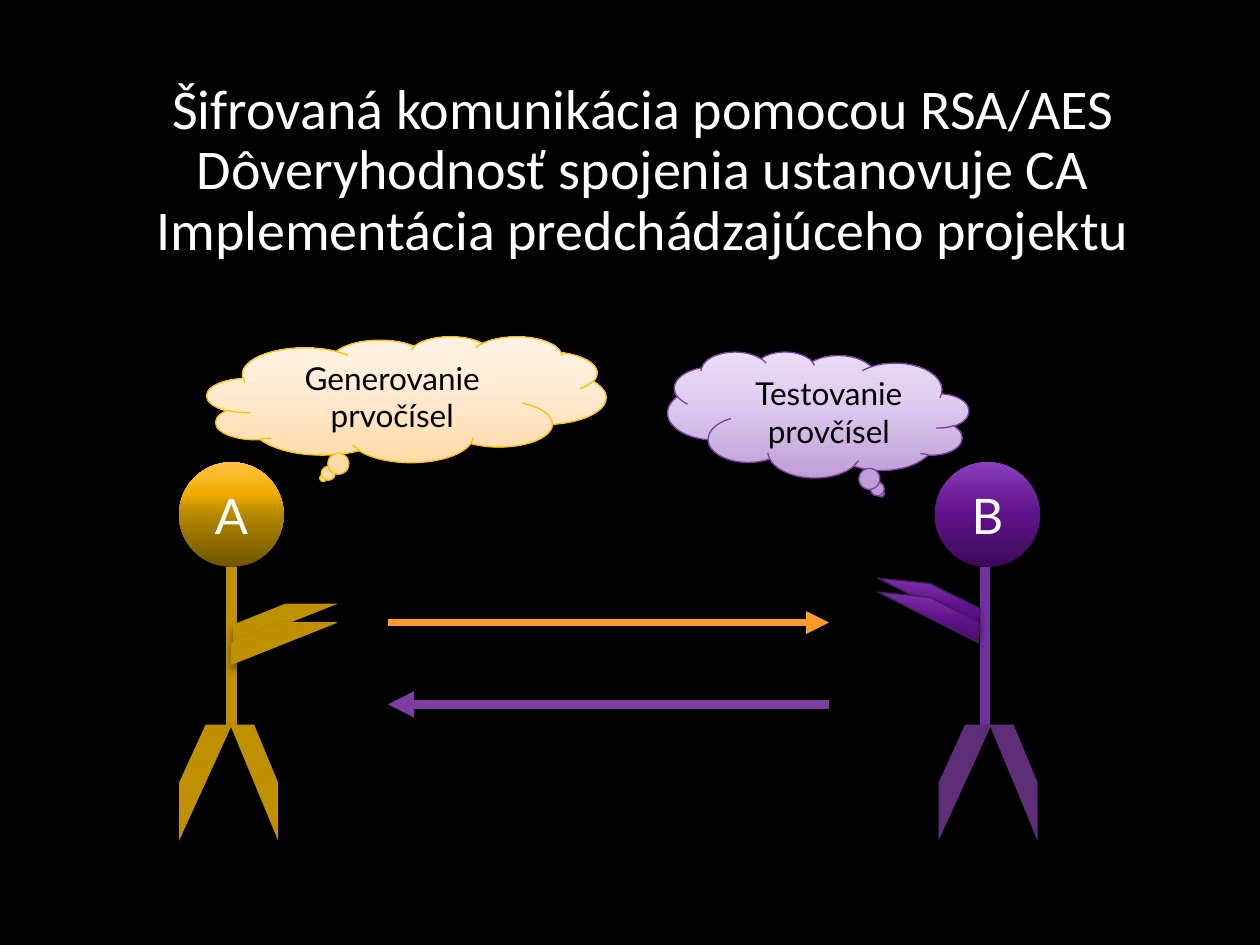
from dataclasses import dataclass
from typing import Optional, Union

from pptx import Presentation
from pptx.dml.color import RGBColor
from pptx.enum.shapes import MSO_CONNECTOR, MSO_SHAPE
from pptx.enum.text import MSO_ANCHOR, PP_ALIGN
from pptx.oxml import parse_xml
from pptx.oxml.ns import nsdecls, qn
from pptx.util import Cm, Pt

COLORS = {
    "black": "000000",
    "white": "FFFFFF",
    "gold": "BF9000",
    "amber": "FFC000",
    "orange": "FF9929",
    "purple": "7030A0",
    "violet": "7D3DA1",
    "plum": "5E2E79",
    "dark plum": "3F1F50",
}
GRADIENTS = {
    "gold": [(0, "705400"), (50, "B48800"), (70, "F0AC00"), (100, "FFC342")],
    "purple": [(0, "3C0958"), (50, "5F128B"), (70, "6F229C"), (100, "8B3FBD")],
    "cream": [(0, "FFDBA7"), (65, "FFEDD8"), (100, "FFF2E4")],
    "lilac": [(0, "BE9FD8"), (65, "E0CFF0"), (100, "E9DCF6")],
}
Fill = Union[str, list]
HEAD_TOP, HEAD_SIZE = 9.32, 2.11
NECK, HIP = 11.43, 14.61
LEG_HEIGHT = 2.34


@dataclass
class Part:
    kind: MSO_SHAPE
    left: float
    top: float
    width: float
    height: float
    fill: Fill
    line: Optional[str] = None
    flip: Optional[str] = None
    rotation: float = 0
    text: str = ""
    text_size: int = 18
    text_color: str = "black"
    shadow: tuple = (45, 5, 3)


@dataclass
class Person:
    name: str
    head_left: float
    head_fill: Fill
    body_x: float
    body_color: str
    legs_left: float
    leg_color: str
    arms: list


def color(name: str) -> RGBColor:
    return RGBColor.from_string(COLORS[name])


def paint(shape, fill: Fill) -> None:
    """Fill with a named colour, or with gradient stops running upwards."""
    if isinstance(fill, str):
        shape.fill.solid()
        shape.fill.fore_color.rgb = color(fill)
        return
    shape.fill.gradient()
    shape.fill.gradient_angle = 90
    stops = shape._element.spPr.find(".//" + qn("a:gsLst"))
    for stop in list(stops):
        stops.remove(stop)
    for position, value in fill:
        stops.append(parse_xml(
            f'<a:gs {nsdecls("a")} pos="{position * 1000}"><a:srgbClr val="{value}"/></a:gs>'))


def add_shadow(shape, opacity: int, blur: int, distance: int) -> None:
    shape.shadow.inherit = False
    shape._element.spPr.find(qn("a:effectLst")).append(parse_xml(
        f'<a:outerShdw {nsdecls("a")} blurRad="{Pt(blur)}" dist="{Pt(distance)}" dir="5400000" '
        f'rotWithShape="0"><a:srgbClr val="{COLORS["black"]}">'
        f'<a:alpha val="{opacity * 1000}"/></a:srgbClr></a:outerShdw>'))


def add_run(paragraph, text: str, font: str, size: int, color_name: str) -> None:
    paragraph.alignment = PP_ALIGN.CENTER
    run = paragraph.add_run()
    run.text = text
    run.font.name = font
    run.font.size = Pt(size)
    run.font.color.rgb = color(color_name)


def add_part(slide, part: Part) -> None:
    shape = slide.shapes.add_shape(
        part.kind, Cm(part.left), Cm(part.top), Cm(part.width), Cm(part.height))
    shape.rotation = part.rotation
    if part.flip:
        shape._element.spPr.xfrm.set(part.flip, "1")
    paint(shape, part.fill)
    if part.line:
        shape.line.color.rgb = color(part.line)
        shape.line.width = Pt(0.75)
    else:
        shape.line.fill.background()
    add_shadow(shape, *part.shadow)
    if part.text:
        frame = shape.text_frame
        frame.word_wrap = True
        frame.vertical_anchor = MSO_ANCHOR.MIDDLE
        add_run(frame.paragraphs[0], part.text, "Lato", part.text_size, part.text_color)


def add_line(slide, start: tuple, end: tuple, color_name: str, width: float,
             arrow: bool = False) -> None:
    line = slide.shapes.add_connector(
        MSO_CONNECTOR.STRAIGHT, *(Cm(value) for value in start + end))
    line.line.color.rgb = color(color_name)
    line.line.width = Pt(width)
    properties = line._element.spPr
    if arrow:
        properties.find(qn("a:ln")).append(
            parse_xml(f'<a:tailEnd {nsdecls("a")} type="triangle"/>'))
    properties.append(parse_xml(f'<a:effectLst {nsdecls("a")}/>'))


def add_person(slide, person: Person) -> None:
    add_part(slide, Part(
        MSO_SHAPE.OVAL, person.head_left, HEAD_TOP, HEAD_SIZE, HEAD_SIZE, person.head_fill,
        text=person.name, text_size=28, text_color="white"))
    add_line(slide, (person.body_x, NECK), (person.body_x, HIP), person.body_color, 6)
    for arm in person.arms:
        add_part(slide, arm)
    for offset, width, flip in ((0, 1.07, None), (1.03, 0.97, "flipH")):
        add_part(slide, Part(MSO_SHAPE.DIAGONAL_STRIPE, person.legs_left + offset, HIP,
                             width, LEG_HEIGHT, person.leg_color, flip=flip))


def add_title(slide, lines: list) -> None:
    box = slide.shapes.add_textbox(Cm(1.7), Cm(1.63), Cm(22.53), Cm(3.94))
    frame = box.text_frame
    frame.word_wrap = True
    frame.margin_left = frame.margin_right = frame.margin_top = frame.margin_bottom = 0
    for index, text in enumerate(lines):
        paragraph = frame.add_paragraph() if index else frame.paragraphs[0]
        paragraph.line_spacing = 0.9
        add_run(paragraph, text, "Calibri", 32, "white")


def main() -> None:
    presentation = Presentation()
    presentation.slide_width, presentation.slide_height = Cm(25.4), Cm(19.05)
    slide = presentation.slides.add_slide(presentation.slide_layouts[6])
    slide.background.fill.solid()
    slide.background.fill.fore_color.rgb = color("black")

    soft = (35, 4, 3)
    stripe = MSO_SHAPE.DIAGONAL_STRIPE
    left_arms = [Part(stripe, 4.7, 12.17, 2.11, 0.84, "gold"),
                 Part(stripe, 4.67, 12.55, 2.11, 0.84, "gold", "gold")]
    right_arms = [Part(stripe, 17.65, top, 2.11, 0.81, GRADIENTS["purple"], "dark plum",
                       "flipV", 185.8, shadow=soft) for top in (11.76, 12.04)]
    add_person(slide, Person("A", 3.61, GRADIENTS["gold"], 4.67, "gold",
                             3.61, "gold", left_arms))
    add_person(slide, Person("B", 18.85, GRADIENTS["purple"], 19.86, "purple",
                             18.92, "plum", right_arms))

    cloud = MSO_SHAPE.CLOUD_CALLOUT
    add_part(slide, Part(cloud, 4.17, 6.78, 8.05, 2.54, GRADIENTS["cream"], "amber",
                         text="Generovanie prvočísel", shadow=soft))
    add_part(slide, Part(cloud, 13.46, 7.09, 6.07, 2.54, GRADIENTS["lilac"], "violet", "flipH",
                         text="Testovanie provčísel", shadow=soft))

    add_line(slide, (7.82, 12.55), (16.71, 12.55), "orange", 4.33, arrow=True)
    add_line(slide, (16.71, 14.2), (7.82, 14.2), "violet", 5, arrow=True)
    add_title(slide, ["Šifrovaná komunikácia pomocou RSA/AES",
                      "Dôveryhodnosť spojenia ustanovuje CA",
                      "Implementácia predchádzajúceho projektu"])
    presentation.save("out.pptx")


if __name__ == "__main__":
    main()
